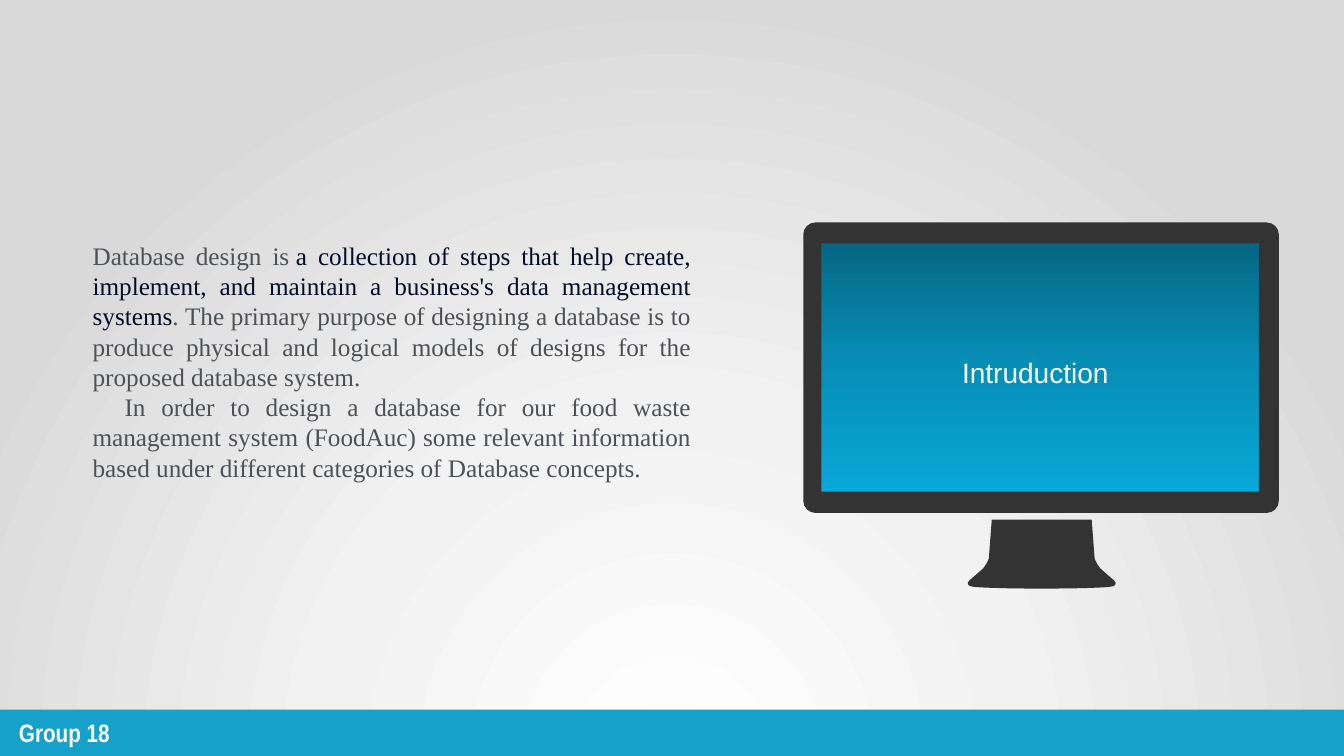
from dataclasses import dataclass
from typing import NamedTuple

from lxml import etree
from pptx import Presentation
from pptx import util as u
from pptx.dml.color import RGBColor
from pptx.enum import shapes, text
from pptx.oxml import ns


class Point(NamedTuple):
    x: float
    y: float


class Frame(NamedTuple):
    left: float
    top: float
    width: float
    height: float


class Contour(NamedTuple):
    start: Point
    segments: list[tuple[Point, ...]]


class Span(NamedTuple):
    words: str
    color: str


class Stop(NamedTuple):
    percent: int
    color: str


@dataclass(frozen=True)
class Theme:
    bar: str = "16A1CA"
    monitor: str = "333333"
    light: str = "FFFFFF"
    prose: str = "4D5156"
    emphasis: str = "040C28"
    title_font: str = "Arial"
    body_font: str = "Times New Roman"
    footer_font: str = "Arial Narrow"
    title_size: int = 20
    body_size: int = 18
    backdrop: tuple = (Stop(0, "FFFFFF"), Stop(46, "F2F2F2"), Stop(100, "D9D9D9"))
    screen: tuple = (Stop(0, "056480"), Stop(50, "078EB6"), Stop(100, "08A8D8"))


THEME = Theme()
PAGE = Frame(0, 0, 960, 540)
SCREEN = Frame(584, 167.8, 316.8, 184.3)
BEZEL = Frame(573.8, 158.9, 339.7, 207.5)
OPENING = Frame(586.8, 173.9, 312.4, 177.3)
BODY = Frame(59, 168, 442, 181.5)
BAR = Frame(0, 506.8, 960, 33.2)
FOOTER = Frame(6.5, 509, 236, 29)
BEZEL_RADIUS = 8.7
STAND_AXIS = 744.1
STAND_PROFILE = (
    Point(35.7, 371.2),
    Point(35.7, 371.2), Point(37.8, 399), Point(37.8, 399),
    Point(37.8, 399), Point(39, 402.5), Point(41.8, 406),
    Point(45.4, 409.2), Point(51.3, 414.3), Point(51.3, 414.3),
    Point(51.3, 414.3), Point(56.4, 418.3), Point(48.5, 419.2),
    Point(44, 419.8), Point(24, 420.4), Point(7.2, 420.4),
)
PARAGRAPHS = (
    (
        Span("Database design is\u00a0", THEME.prose),
        Span("a collection of steps that help create, implement, and maintain "
             "a business's data management systems", THEME.emphasis),
        Span(". The primary purpose of designing a database is to produce physical "
             "and logical models of designs for the proposed database system.", THEME.prose),
    ),
    (
        Span("In order to design a database for our food waste management system "
             "(FoodAuc) some relevant information based under different categories "
             "of Database concepts.", THEME.prose),
    ),
)
FIRST_LINE_INDENTS = (0, 22.8)


def place(box, frame: Frame) -> None:
    box.left, box.top, box.width, box.height = map(u.Pt, frame)


def paint(box, color: str) -> None:
    box.shadow.inherit = False
    box.fill.solid()
    box.fill.fore_color.rgb = RGBColor.from_string(color)
    box.line.fill.background()


def format_span(span, font: str, size: float, color: str, bold: bool = False) -> None:
    span.font.name = font
    span.font.size = u.Pt(size)
    span.font.bold = bold
    span.font.color.rgb = RGBColor.from_string(color)


def set_gradient(gradient, stops: tuple):
    for child in list(gradient):
        gradient.remove(child)
    stop_list = etree.SubElement(gradient, ns.qn("a:gsLst"))
    for stop in stops:
        mark = etree.SubElement(stop_list, ns.qn("a:gs"), pos=str(stop.percent * 1000))
        etree.SubElement(mark, ns.qn("a:srgbClr"), val=stop.color)
    return gradient


def set_backdrop(page) -> None:
    page.background.fill.gradient()
    gradient = set_gradient(page.element.xpath(".//p:bgPr/a:gradFill")[0], THEME.backdrop)
    circle = etree.SubElement(gradient, ns.qn("a:path"), path="circle")
    etree.SubElement(circle, ns.qn("a:fillToRect"), l="50000", t="130000", r="50000", b="-30000")


def set_title(title) -> None:
    place(title, SCREEN)
    title.fill.gradient()
    gradient = set_gradient(title.element.xpath(".//a:gradFill")[0], THEME.screen)
    etree.SubElement(gradient, ns.qn("a:lin"), ang="5400000", scaled="0")
    frame = title.text_frame
    frame.text = "Intruduction "
    frame.auto_size = text.MSO_AUTO_SIZE.NONE
    frame.vertical_anchor = text.MSO_ANCHOR.MIDDLE
    para = frame.paragraphs[0]
    para.alignment = text.PP_ALIGN.CENTER
    para.line_spacing = 1.5
    format_span(para.runs[0], THEME.title_font, THEME.title_size, THEME.light)


def set_body(body) -> None:
    place(body, BODY)
    frame = body.text_frame
    frame.word_wrap = True
    frame.auto_size = text.MSO_AUTO_SIZE.SHAPE_TO_FIT_TEXT
    frame.vertical_anchor = text.MSO_ANCHOR.TOP
    frame.text = "\n".join("".join(span.words for span in spans) for spans in PARAGRAPHS)
    for para, spans, indent in zip(frame.paragraphs, PARAGRAPHS, FIRST_LINE_INDENTS):
        para.clear()
        para.alignment = text.PP_ALIGN.JUSTIFY
        para.space_before = u.Pt(0)
        properties = para._p.get_or_add_pPr()
        properties.set("marL", "0")
        properties.set("indent", str(u.Pt(indent)))
        etree.SubElement(properties, ns.qn("a:buNone"))
        for part in spans:
            span = para.add_run()
            span.text = part.words
            format_span(span, THEME.body_font, THEME.body_size, part.color)


def stand_contour() -> Contour:
    right = [Point(STAND_AXIS + x, y) for x, y in STAND_PROFILE]
    left = [Point(STAND_AXIS - x, y) for x, y in reversed(STAND_PROFILE)]
    points = right[1:] + [right[-1], left[0]] + left
    return Contour(right[0], list(zip(points[::3], points[1::3], points[2::3])))


def frame_corners(frame: Frame) -> list[Point]:
    right, bottom = frame.left + frame.width, frame.top + frame.height
    return [Point(frame.left, frame.top), Point(right, frame.top),
            Point(right, bottom), Point(frame.left, bottom)]


def rounded_contour(frame: Frame, radius: float) -> Contour:
    directions = (Point(1, 0), Point(0, 1), Point(-1, 0), Point(0, -1))
    segments = []
    for index, corner in enumerate(frame_corners(frame)):
        before, after = directions[index - 1], directions[index]

        def along(way: Point, reach: float) -> Point:
            return Point(corner.x + way.x * reach, corner.y + way.y * reach)

        segments.append((along(before, -radius),))
        segments.append((along(before, -radius * 0.45), along(after, radius * 0.45),
                         along(after, radius)))
    return Contour(segments[0][0], segments[1:])


def opening_contour(frame: Frame) -> Contour:
    first, *others = reversed(frame_corners(frame))
    return Contour(first, [(corner,) for corner in others])


def draw_outline(page, *contours: Contour) -> None:
    first = contours[0]
    builder = page.shapes.build_freeform(*map(u.Pt, first.start), scale=1.0)
    for contour in contours:
        if contour is not first:
            builder.move_to(*map(u.Pt, contour.start))
        points = [tuple(map(u.Pt, point)) for segment in contour.segments for point in segment]
        builder.add_line_segments(points, close=True)
    outline = builder.convert_to_shape()
    paint(outline, THEME.monitor)
    lines = iter(outline.element.xpath(".//a:lnTo"))
    for segment in (segment for contour in contours for segment in contour.segments):
        steps = [next(lines) for _ in segment]
        if len(steps) == 3:
            bend = etree.Element(ns.qn("a:cubicBezTo"))
            steps[0].addprevious(bend)
            for step in steps:
                bend.append(step[0])
                step.getparent().remove(step)


def draw_footer(page) -> None:
    bar = page.shapes.add_shape(shapes.MSO_SHAPE.RECTANGLE, *map(u.Pt, BAR))
    paint(bar, THEME.bar)
    box = page.shapes.add_textbox(*map(u.Pt, FOOTER))
    box.text_frame.word_wrap = True
    box.text_frame.text = "Group 18"
    format_span(box.text_frame.paragraphs[0].runs[0], THEME.footer_font,
                THEME.body_size, THEME.light, bold=True)


deck = Presentation()
deck.slide_width, deck.slide_height = u.Pt(PAGE.width), u.Pt(PAGE.height)
page = deck.slides.add_slide(deck.slide_layouts[1])
set_backdrop(page)
set_title(page.shapes.title)
set_body(page.placeholders[1])
draw_outline(page, stand_contour())
draw_outline(page, rounded_contour(BEZEL, BEZEL_RADIUS), opening_contour(OPENING))
draw_footer(page)
deck.save("out.pptx")
